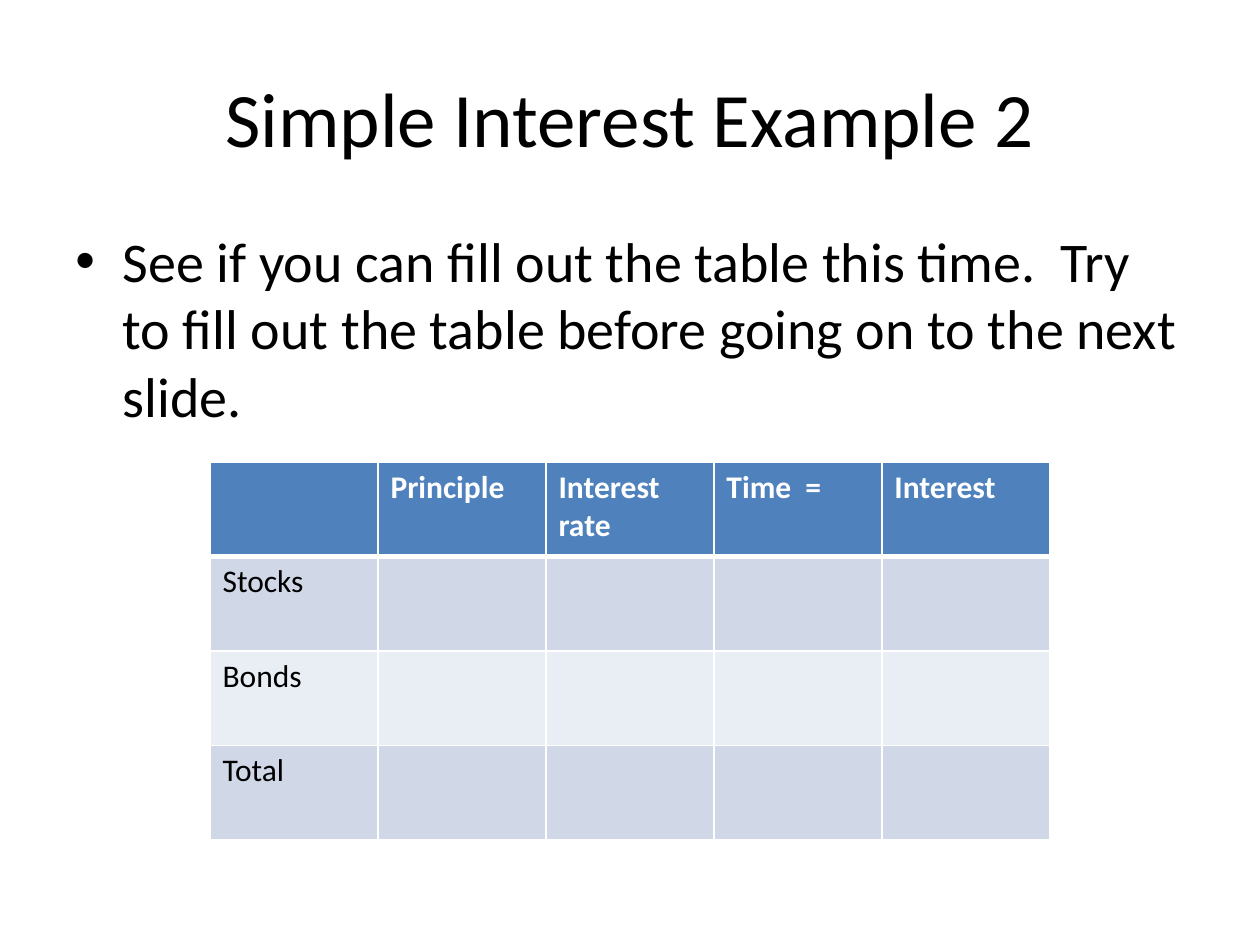
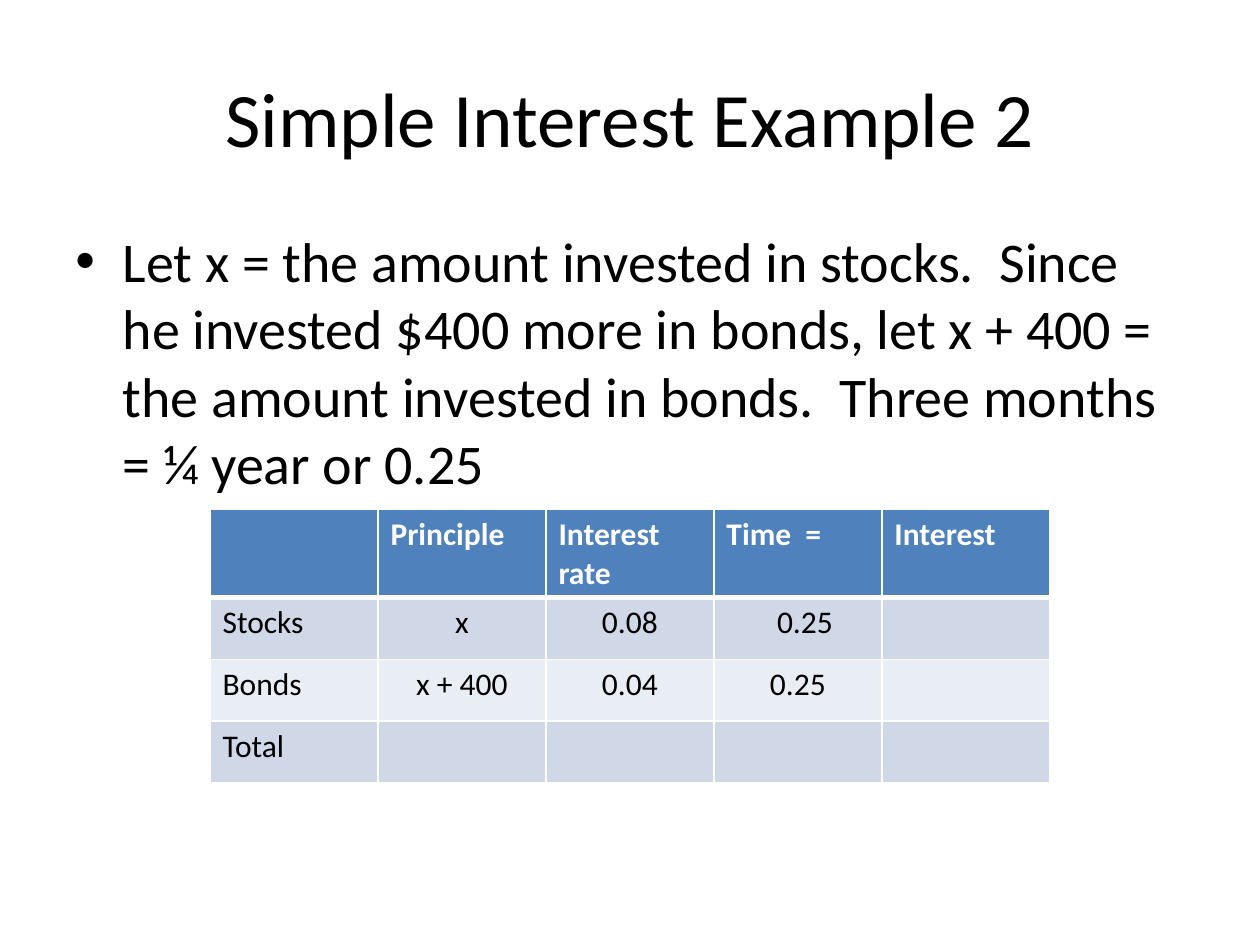
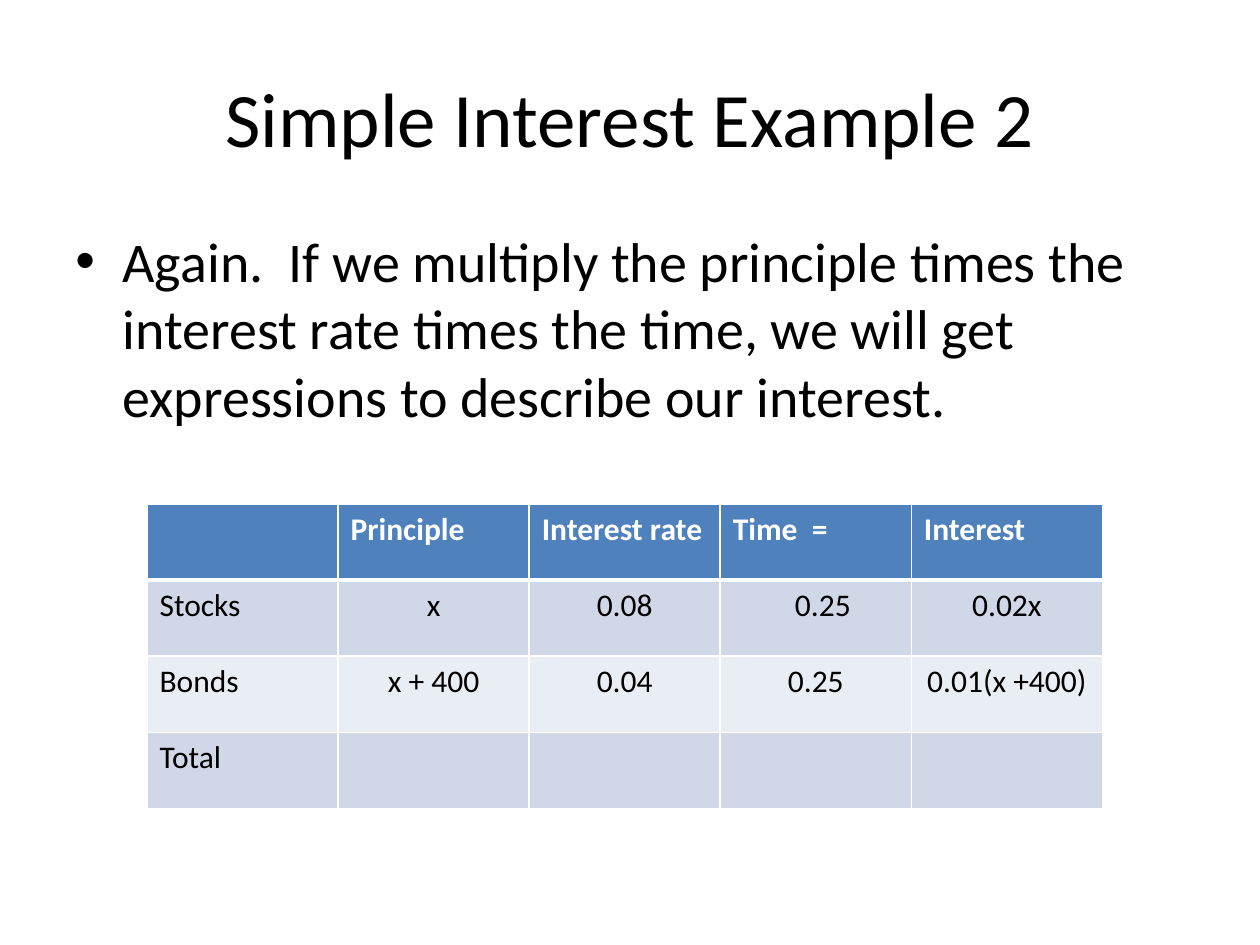
from lxml import etree
from pptx import Presentation
from pptx.dml.color import RGBColor
from pptx.enum.text import MSO_ANCHOR, PP_ALIGN
from pptx.oxml.ns import qn
from pptx.util import Pt

CENTER, LEFT = PP_ALIGN.CENTER, PP_ALIGN.LEFT
TOP, MIDDLE = MSO_ANCHOR.TOP, MSO_ANCHOR.MIDDLE
FONT = "Calibri"
COLORS = {"text": "000000", "white": "FFFFFF", "head": "4F81BD",
          "dark": "D0D8E8", "light": "E9EDF4"}
FILLS = ["head", "dark", "light", "dark"]
TITLE = "Simple Interest Example 2"
HEAD = ["", "Principle", "Interest rate", "Time  =", "Interest"]
NAMES = ["Stocks", "Bonds", "Total"]
NUDGE = 8.1  # extra left margin of the first time value

# Each slide: body text, table left, top, column width, row heights, values
STOCKS = ["x", "0.08", "0.25"]
BONDS = ["x + 400", "0.04", "0.25"]
BLANK = [""] * 4
SLIDES = [
    ("See if you can fill out the table this time.  Try to fill out the "
     "table before going on to the next slide.",
     120, 264, 96, [54] * 4, [BLANK, BLANK, BLANK]),
    ("Let x = the amount invested in stocks.  Since he invested $400 more in "
     "bonds, let x + 400 = the amount invested in bonds.  Three months = "
     "¼ year or 0.25",
     120, 291, 96, [47.5] + [35.3] * 3,
     [STOCKS + [""], BONDS + [""], BLANK]),
    ("Again.  If we multiply the principle times the interest rate times the "
     "time, we will get expressions to describe our interest.",
     84, 288, 109.2, [43.5] * 4,
     [STOCKS + ["0.02x"], BONDS + ["0.01(x +400)"], BLANK]),
]


def write(frame, text, size, color="text", align=LEFT, bold=False):
    para = frame.paragraphs[0]
    para.alignment = align
    run = para.add_run()
    run.text = text
    run.font.size = Pt(size)
    run.font.name = FONT
    run.font.bold = bold
    run.font.color.rgb = RGBColor.from_string(COLORS[color])
    return para


def edge(cell, side, width):
    props = cell._tc.get_or_add_tcPr()
    line = etree.SubElement(props, qn("a:ln" + side), w=str(Pt(width)))
    fill = etree.SubElement(line, qn("a:solidFill"))
    etree.SubElement(fill, qn("a:srgbClr"), val=COLORS["white"])


prs = Presentation()
prs.slide_width, prs.slide_height = Pt(720), Pt(540)

for body, left, top, width, heights, values in SLIDES:
    slide = prs.slides.add_slide(prs.slide_layouts[6])

    # Title
    frame = slide.shapes.add_textbox(Pt(36), Pt(21.6), Pt(648), Pt(90)).text_frame
    frame.word_wrap = True
    frame.vertical_anchor = MIDDLE
    write(frame, TITLE, 44, align=CENTER)

    # Bulleted body
    frame = slide.shapes.add_textbox(Pt(36), Pt(126), Pt(648), Pt(356.4)).text_frame
    frame.word_wrap = True
    frame.vertical_anchor = TOP
    para = write(frame, body, 32)
    props = para._p.get_or_add_pPr()
    props.set("marL", str(Pt(27)))
    props.set("indent", str(Pt(-27)))
    etree.SubElement(props, qn("a:buFont"), typeface="Arial")
    etree.SubElement(props, qn("a:buChar"), char="•")

    # Interest table
    rows = [HEAD] + [[name] + row for name, row in zip(NAMES, values)]
    table = slide.shapes.add_table(len(rows), len(HEAD), Pt(left), Pt(top),
                                   Pt(width * len(HEAD)), Pt(sum(heights))).table
    for col in table.columns:
        col.width = Pt(width)
    for r, row in enumerate(rows):
        table.rows[r].height = Pt(heights[r])
        for c, text in enumerate(row):
            cell = table.cell(r, c)
            for side in "LRTB":
                thick = (r, side) in [(0, "B"), (1, "T")]
                edge(cell, side, 3 if thick else 1)
            cell.fill.solid()
            cell.fill.fore_color.rgb = RGBColor.from_string(COLORS[FILLS[r]])
            if text:
                write(cell.text_frame, text, 18, "text" if r else "white",
                      CENTER if r and c else LEFT, r == 0)
            if text and (r, c) == (1, 3):
                cell.margin_left = Pt(7.2 + NUDGE)

prs.save("out.pptx")
